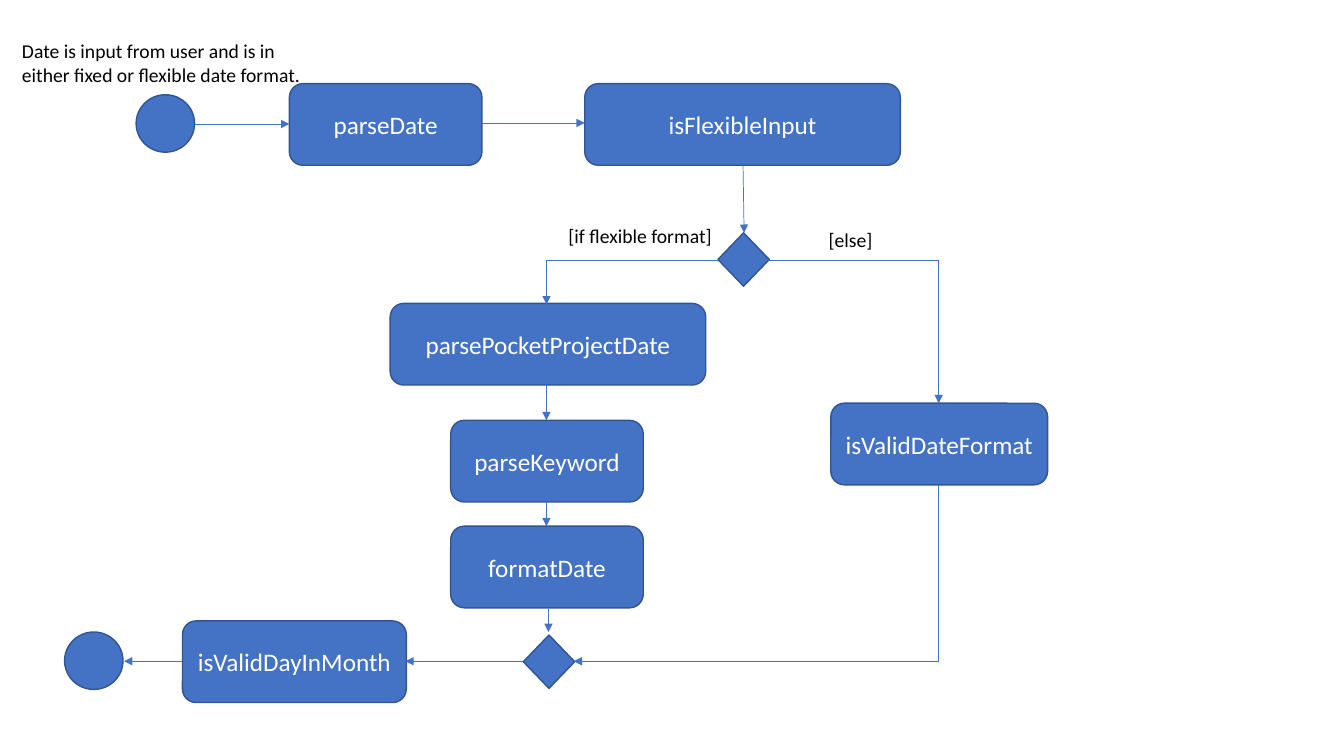
from lxml import etree
from pptx import Presentation
from pptx.dml.color import RGBColor
from pptx.enum.shapes import MSO_CONNECTOR, MSO_SHAPE
from pptx.enum.text import MSO_ANCHOR, PP_ALIGN
from pptx.oxml.ns import qn
from pptx.util import Pt

PX = 9144  # EMU per px, 100 px to the inch
BLUE = RGBColor(0x44, 0x72, 0xC4)
DARK_BLUE = RGBColor(0x32, 0x54, 0x91)
WHITE = RGBColor(0xFF, 0xFF, 0xFF)
BLACK = RGBColor(0x00, 0x00, 0x00)

ELLIPSE = MSO_SHAPE.OVAL
DIAMOND = MSO_SHAPE.DIAMOND
ROUNDED = MSO_SHAPE.ROUNDED_RECTANGLE
STRAIGHT = MSO_CONNECTOR.STRAIGHT
CENTER = PP_ALIGN.CENTER
MIDDLE = MSO_ANCHOR.MIDDLE

STEP_HEIGHT = 81
STEP_FONT = {"name": "Calibri", "size": Pt(18)}
NOTE_FONT = {"name": "Calibri", "size": Pt(14)}

# Name, left, top, width
STEPS = [
    ("parseDate", 287, 83, 191),
    ("isFlexibleInput", 580, 83, 313),
    ("parsePocketProjectDate", 387, 301, 313),
    ("parseKeyword", 447, 417, 191),
    ("formatDate", 447, 522, 191),
    ("isValidDateFormat", 824, 400, 215),
    ("isValidDayInMonth", 181, 616, 222),
]
TERMINALS = [(135, 94), (64, 627)]
DECISIONS = [(712, 231), (519, 630)]

# Text, left, top, width, height
NOTES = [
    ("Date is input from user and is in either fixed or flexible date format.", 12, 34, 304, 57),
    ("[if flexible format]", 554, 217, 170, 34),
    ("[else]", 812, 221, 170, 34),
]

# Start x, start y, end x, end y
ARROWS = [
    (193, 123, 287, 123),
    (478, 122, 580, 122),
    (737, 164, 738, 231),
    (542, 258, 542, 302),
    (542, 382, 542, 417),
    (542, 498, 542, 522),
    (544, 604, 544, 627),
    (931, 258, 931, 400),
    (931, 656, 569, 656),
    (519, 656, 402, 656),
    (181, 656, 123, 656),
]
PLAIN_LINES = [
    (712, 258, 542, 258),
    (931, 258, 762, 258),
    (931, 481, 931, 656),
]


def to_emu(*lengths):
    return [length * PX for length in lengths]


def write_text(shape, text, font_format, color):
    shape.text_frame.word_wrap = True
    paragraph = shape.text_frame.paragraphs[0]
    run = paragraph.add_run()
    run.text = text
    for name, value in font_format.items():
        setattr(run.font, name, value)
    run.font.color.rgb = color
    return paragraph


def add_node(slide, kind, left, top, width, height):
    shape = slide.shapes.add_shape(kind, *to_emu(left, top, width, height))
    shape.shadow.inherit = False
    shape.fill.solid()
    shape.fill.fore_color.rgb = BLUE
    shape.line.color.rgb = DARK_BLUE
    shape.line.width = Pt(1)
    return shape


def add_step(slide, name, left, top, width):
    shape = add_node(slide, ROUNDED, left, top, width, STEP_HEIGHT)
    shape.text_frame.vertical_anchor = MIDDLE
    write_text(shape, name, STEP_FONT, WHITE).alignment = CENTER


def add_note(slide, text, left, top, width, height):
    text_box = slide.shapes.add_textbox(*to_emu(left, top, width, height))
    write_text(text_box, text, NOTE_FONT, BLACK)


def add_line(slide, ends, arrow=False):
    connector = slide.shapes.add_connector(STRAIGHT, *to_emu(*ends))
    connector.line.color.rgb = BLUE
    connector.line.width = Pt(0.5)
    if arrow:
        line_element = connector.line._get_or_add_ln()
        etree.SubElement(line_element, qn("a:tailEnd"), type="triangle")
    etree.SubElement(connector._element.spPr, qn("a:effectLst"))


def main():
    presentation = Presentation()
    presentation.slide_width, presentation.slide_height = to_emu(1333, 750)
    slide = presentation.slides.add_slide(presentation.slide_layouts[6])

    for step in STEPS:
        add_step(slide, *step)
    for left, top in TERMINALS:
        add_node(slide, ELLIPSE, left, top, 58, 57)
    for left, top in DECISIONS:
        add_node(slide, DIAMOND, left, top, 51, 53)
    for note in NOTES:
        add_note(slide, *note)
    for ends in PLAIN_LINES:
        add_line(slide, ends)
    for ends in ARROWS:
        add_line(slide, ends, arrow=True)

    presentation.save("out.pptx")


if __name__ == "__main__":
    main()
